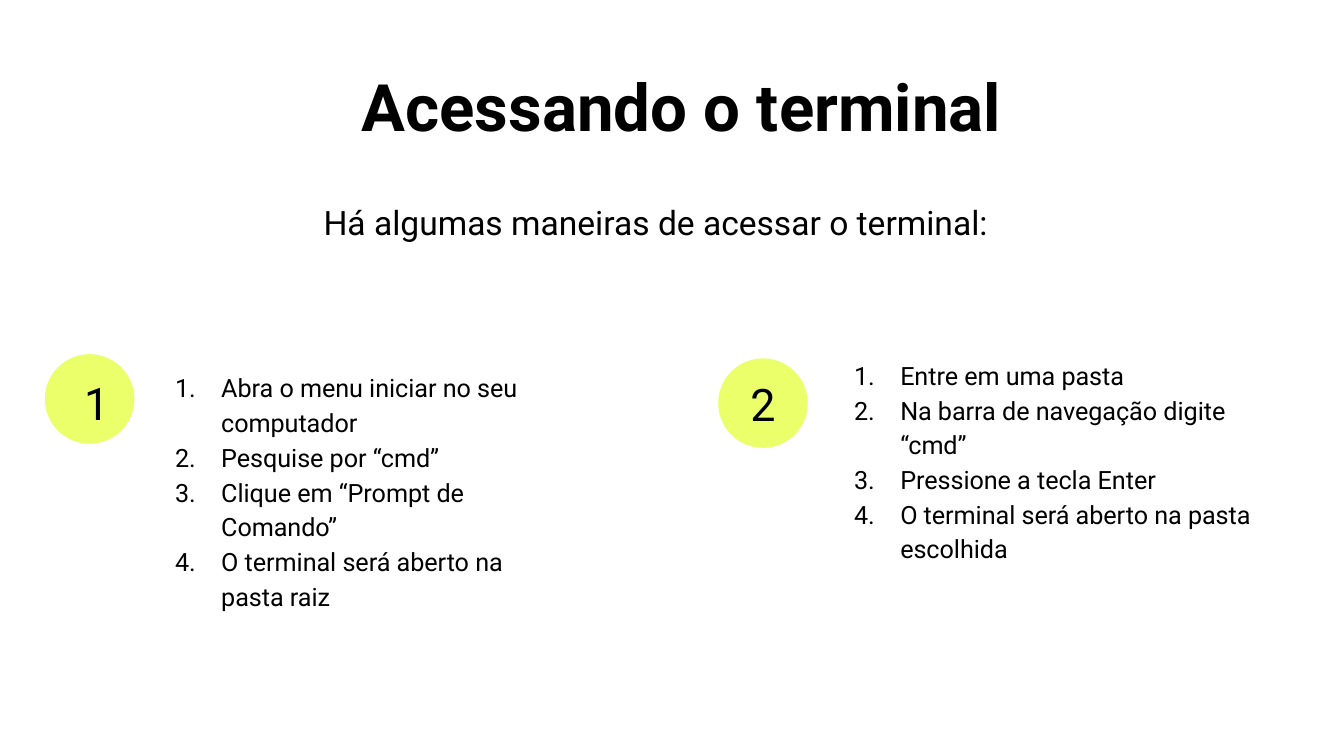
"""Build a slide showing two ways to open the terminal."""
import pptx
import pptx.util
import pptx.dml.color
import pptx.enum.shapes
import pptx.enum.text
import lxml.etree
import pptx.oxml.ns

PX = 9525
FONT = "Roboto"
BLACK = pptx.dml.color.RGBColor(0x00, 0x00, 0x00)
LIME = pptx.dml.color.RGBColor(0xEA, 0xFF, 0x6A)
MID = pptx.enum.text.PP_ALIGN.CENTER
LEFT = pptx.enum.text.PP_ALIGN.LEFT


def place(shape, box):
    shape.left, shape.top, shape.width, shape.height = [n * PX for n in box]
    frame = shape.text_frame
    frame.word_wrap = True
    frame.auto_size = pptx.enum.text.MSO_AUTO_SIZE.NONE
    frame.vertical_anchor = pptx.enum.text.MSO_ANCHOR.TOP
    frame.margin_left = frame.margin_right = 10 * PX
    frame.margin_top = frame.margin_bottom = 10 * PX
    return frame


def write(para, text, size, align=LEFT, space=1.0, bold=False):
    para.alignment = align
    para.line_spacing = space
    para.space_before = pptx.util.Pt(0)
    run = para.add_run()
    run.text = text
    run.font.name = FONT
    run.font.size = pptx.util.Pt(size)
    run.font.bold = bold
    run.font.color.rgb = BLACK


deck = pptx.Presentation()
deck.slide_width = 960 * PX
deck.slide_height = 540 * PX
slide = deck.slides.add_slide(deck.slide_layouts[3])
shapes = slide.shapes

title = place(shapes.title, (145, 37, 684, 104))
write(title.paragraphs[0], "Acessando o terminal", 35, MID, bold=True)

ways = [
    ("1", (32, 253, 64, 64), (50, 258, 29, 54), (112, 253, 299, 141), [
        "Abra o menu iniciar no seu computador",
        "Pesquise por “cmd”",
        "Clique em “Prompt de Comando”",
        "O terminal será aberto na pasta raiz",
    ]),
    ("2", (513, 256, 64, 64), (526, 259, 38, 53), (597, 244, 317, 164), [
        "Entre em uma pasta",
        "Na barra de navegação digite “cmd”",
        "Pressione a tecla Enter",
        "O terminal será aberto na pasta escolhida",
    ]),
]

for spot, (label, disc, box, area, steps) in enumerate(ways, 1):
    body = place(slide.placeholders[spot], area)
    for row, step in enumerate(steps):
        para = body.paragraphs[0] if row == 0 else body.add_paragraph()
        props = para._p.get_or_add_pPr()
        props.set("marL", str(36 * PX))
        props.set("indent", str(-33 * PX))
        for tag, key, val in (("a:buFont", "typeface", FONT),
                              ("a:buAutoNum", "type", "arabicPeriod")):
            mark = lxml.etree.SubElement(props, pptx.oxml.ns.qn(tag))
            mark.set(key, val)
        write(para, step, 13.5, space=1.15)

    dot = shapes.add_shape(pptx.enum.shapes.MSO_SHAPE.OVAL, *[n * PX for n in disc])
    dot.shadow.inherit = False
    dot.fill.solid()
    dot.fill.fore_color.rgb = LIME
    dot.line.fill.background()
    digit = place(shapes.add_textbox(0, 0, PX, PX), box)
    write(digit.paragraphs[0], label, 24)

intro = place(shapes.add_textbox(0, 0, PX, PX), (142, 130, 653, 68))
write(intro.paragraphs[0], "Há algumas maneiras de acessar o terminal:", 18, MID, 1.15)

deck.save("out.pptx")
